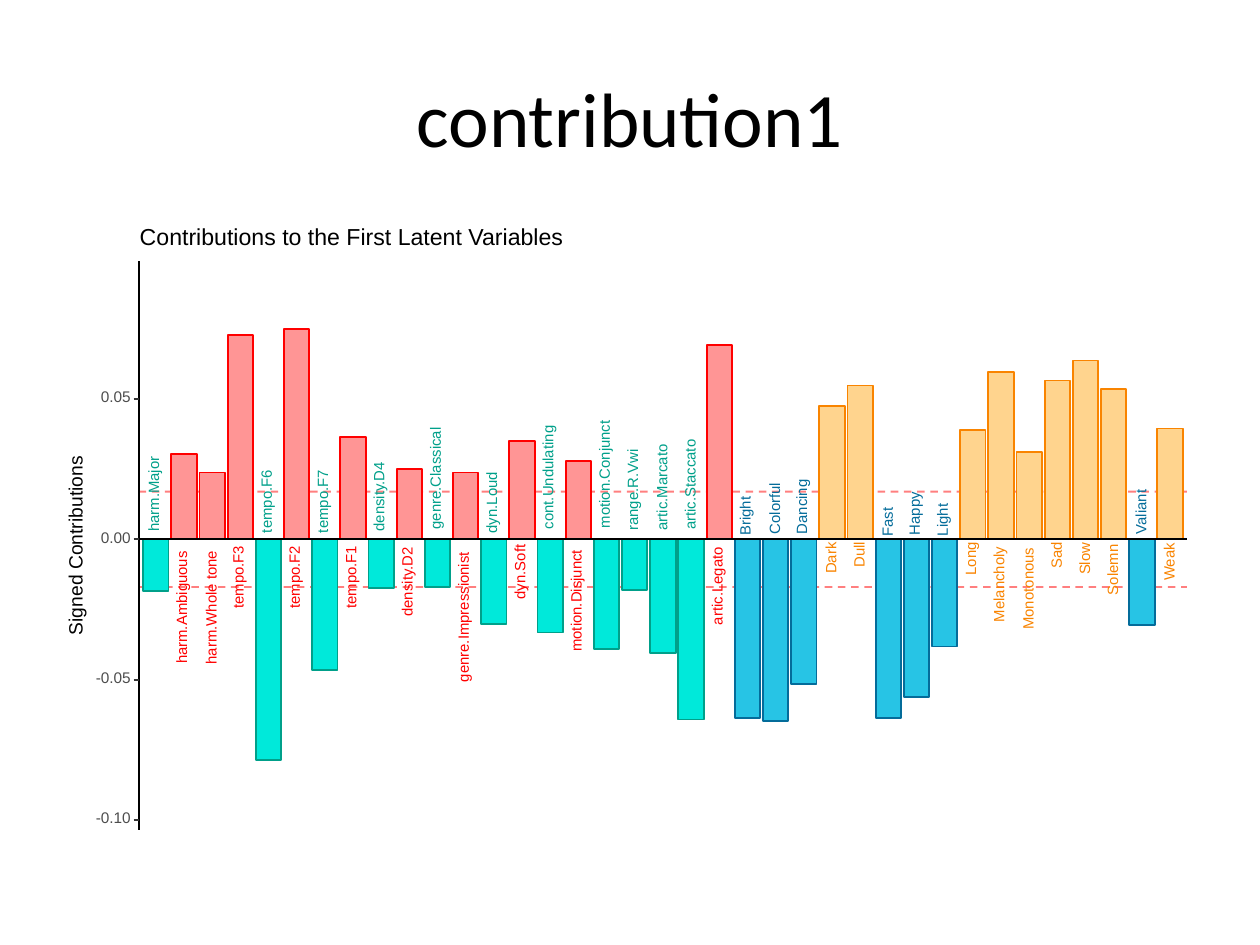
from lxml import etree
from pptx import Presentation
from pptx.dml.color import RGBColor
from pptx.enum.dml import MSO_LINE
from pptx.enum.shapes import MSO_CONNECTOR, MSO_SHAPE
from pptx.enum.text import MSO_ANCHOR, PP_ALIGN
from pptx.oxml.ns import qn
from pptx.util import Pt

DASH = MSO_LINE.DASH
STRAIGHT = MSO_CONNECTOR.STRAIGHT
RECTANGLE = MSO_SHAPE.RECTANGLE
MIDDLE = MSO_ANCHOR.MIDDLE
CENTER = PP_ALIGN.CENTER

BLACK = RGBColor(0x00, 0x00, 0x00)
WHITE = RGBColor(0xFF, 0xFF, 0xFF)
TICK_GRAY = RGBColor(0x33, 0x33, 0x33)
TEXT_GRAY = RGBColor(0x4D, 0x4D, 0x4D)
RED = RGBColor(0xFF, 0x00, 0x00)
PINK = RGBColor(0xFF, 0x95, 0x95)
TEAL = RGBColor(0x00, 0xA0, 0x8A)
TURQUOISE = RGBColor(0x00, 0xE9, 0xDA)
ORANGE = RGBColor(0xF9, 0x84, 0x00)
LIGHT_ORANGE = RGBColor(0xFF, 0xD4, 0x8E)
BLUE = RGBColor(0x04, 0x6C, 0x9A)
LIGHT_BLUE = RGBColor(0x27, 0xC4, 0xE5)

# Plot geometry in points
LINE_WIDTH = 1.07
AXIS_LEFT, AXIS_RIGHT = 79.2, 678.2
AXIS_TOP, AXIS_BOTTOM = 149.2, 474.2
ZERO_Y = 308.2
POINTS_PER_UNIT = 1604
FIRST_BAR_LEFT, BAR_PITCH, BAR_WIDTH = 81.8, 16.1, 14.5
THRESHOLD = 0.017
TEXT_SLACK = 2  # keeps a label on one line

# Name, signed contribution, label length in points
MUSIC_BARS = [
    ("harm.Major", -0.0184, 43), ("harm.Ambiguous", 0.0305, 65),
    ("harm.Whole tone", 0.0238, 65), ("tempo.F3", 0.0727, 36),
    ("tempo.F6", -0.0785, 36), ("tempo.F2", 0.075, 36),
    ("tempo.F7", -0.0467, 36), ("tempo.F1", 0.0364, 36),
    ("density.D4", -0.0173, 40.5), ("density.D2", 0.0251, 40.5),
    ("genre.Classical", -0.0171, 58), ("genre.Impressionist", 0.0238, 74),
    ("dyn.Loud", -0.0301, 35), ("dyn.Soft", 0.035, 31),
    ("cont.Undulating", -0.0332, 59), ("motion.Disjunct", 0.0278, 58.5),
    ("motion.Conjunct", -0.039, 62), ("range.R.Vwi", -0.018, 47),
    ("artic.Marcato", -0.0404, 49.5), ("artic.Staccato", -0.0642, 52),
    ("artic.Legato", 0.0691, 44.5),
]
MOOD_BARS = [
    ("Bright", -0.0637, 22), ("Colorful", -0.0646, 29.5),
    ("Dancing", -0.0516, 31), ("Dark", 0.0476, 18),
    ("Dull", 0.0548, 14.5), ("Fast", -0.0637, 16.5),
    ("Happy", -0.0561, 24.5), ("Light", -0.0382, 18.5),
    ("Long", 0.039, 18.5), ("Melancholy", 0.0597, 43),
    ("Monotonous", 0.031, 47), ("Sad", 0.0566, 15),
    ("Slow", 0.0637, 18.5), ("Solemn", 0.0534, 29),
    ("Valiant", -0.0305, 26), ("Weak", 0.0395, 21.5),
]


def add_text(shapes, text, center_x, center_y, width, height, *, size, color=BLACK,
             font="Arial", rotation=0, exact_spacing=True):
    width += TEXT_SLACK
    box = shapes.add_textbox(Pt(center_x - width / 2), Pt(center_y - height / 2),
                             Pt(width), Pt(height))
    box.rotation = rotation
    frame = box.text_frame
    frame.word_wrap = False
    frame.vertical_anchor = MIDDLE
    frame.margin_left = frame.margin_right = frame.margin_top = frame.margin_bottom = 0
    paragraph = frame.paragraphs[0]
    paragraph.alignment = CENTER
    if exact_spacing:
        paragraph.line_spacing = Pt(size)
    run = paragraph.add_run()
    run.text = text
    run.font.name = font
    run.font.size = Pt(size)
    run.font.color.rgb = color


def add_line(shapes, x1, y1, x2, y2, color, dashed=False):
    line = shapes.add_connector(STRAIGHT, Pt(x1), Pt(y1), Pt(x2), Pt(y2))
    line.line.color.rgb = color
    line.line.width = Pt(LINE_WIDTH)
    properties = line._element.spPr
    if dashed:
        line.line.dash_style = DASH
        color_element = properties.find(".//" + qn("a:srgbClr"))
        etree.SubElement(color_element, qn("a:alpha"), val="50000")
    etree.SubElement(properties, qn("a:effectLst"))


presentation = Presentation()
presentation.slide_width = Pt(720)
presentation.slide_height = Pt(540)
slide = presentation.slides.add_slide(presentation.slide_layouts[6])

# Slide title
add_text(slide.shapes, "contribution1", 360, 66.6, 646, 90, size=44,
         font="Calibri", exact_spacing=False)

# Plot background
plot = slide.shapes.add_group_shape().shapes
background = plot.add_shape(RECTANGLE, Pt(36), Pt(126), Pt(648), Pt(356.4))
background.shadow.inherit = False
background.fill.solid()
background.fill.fore_color.rgb = WHITE
background.line.color.rgb = WHITE
background.line.width = Pt(LINE_WIDTH)

# Threshold lines
for value in (THRESHOLD, -THRESHOLD):
    y = ZERO_Y - value * POINTS_PER_UNIT
    add_line(plot, AXIS_LEFT, y, AXIS_RIGHT, y, RED, dashed=True)

# Bars, coloured by group and sign
labels = []
for index, (name, value, length) in enumerate(MUSIC_BARS + MOOD_BARS):
    if index < len(MUSIC_BARS):
        fill, outline = (PINK, RED) if value > 0 else (TURQUOISE, TEAL)
    else:
        fill, outline = (LIGHT_ORANGE, ORANGE) if value > 0 else (LIGHT_BLUE, BLUE)
    left = FIRST_BAR_LEFT + index * BAR_PITCH
    height = abs(value) * POINTS_PER_UNIT
    top = ZERO_Y - height if value > 0 else ZERO_Y
    bar = plot.add_shape(RECTANGLE, Pt(left), Pt(top), Pt(BAR_WIDTH), Pt(height))
    bar.shadow.inherit = False
    bar.fill.solid()
    bar.fill.fore_color.rgb = fill
    bar.line.color.rgb = outline
    bar.line.width = Pt(LINE_WIDTH)
    # A label sits across the axis from its bar, a tenth of its length away
    side = 1 if value > 0 else -1
    labels.append((name, left + BAR_WIDTH / 2, ZERO_Y + side * 0.6 * length, length, outline))

# Bar labels, taller where a letter has a descender
for name, x, y, length, color in labels:
    descends = any(letter in name for letter in "gjpy")
    add_text(plot, name, x - 0.7 if descends else x, y, length, 8 if descends else 6.5,
             size=8.5, color=color, rotation=270)

# Axes
add_line(plot, AXIS_LEFT, ZERO_Y, AXIS_RIGHT, ZERO_Y, BLACK)
add_line(plot, AXIS_LEFT, AXIS_BOTTOM, AXIS_LEFT, AXIS_TOP, BLACK)

# Tick marks and their labels
for value in (-0.10, -0.05, 0, 0.05):
    y = ZERO_Y - value * POINTS_PER_UNIT
    width = 20.2 if value < 0 else 17.3
    add_text(plot, f"{value:.2f}", 74.8 - width / 2, y - 0.4, width, 6.5,
             size=8.8, color=TEXT_GRAY)
    add_line(plot, AXIS_LEFT - 2.8, y, AXIS_LEFT, y, TICK_GRAY)

# Axis title and plot title
add_text(plot, "Signed Contributions", 43.9, 311.8, 102.2, 10, size=11, rotation=270)
add_text(plot, "Contributions to the First Latent Variables", 200.8, 136.1, 242.6, 10, size=13.2)

presentation.save("out.pptx")
